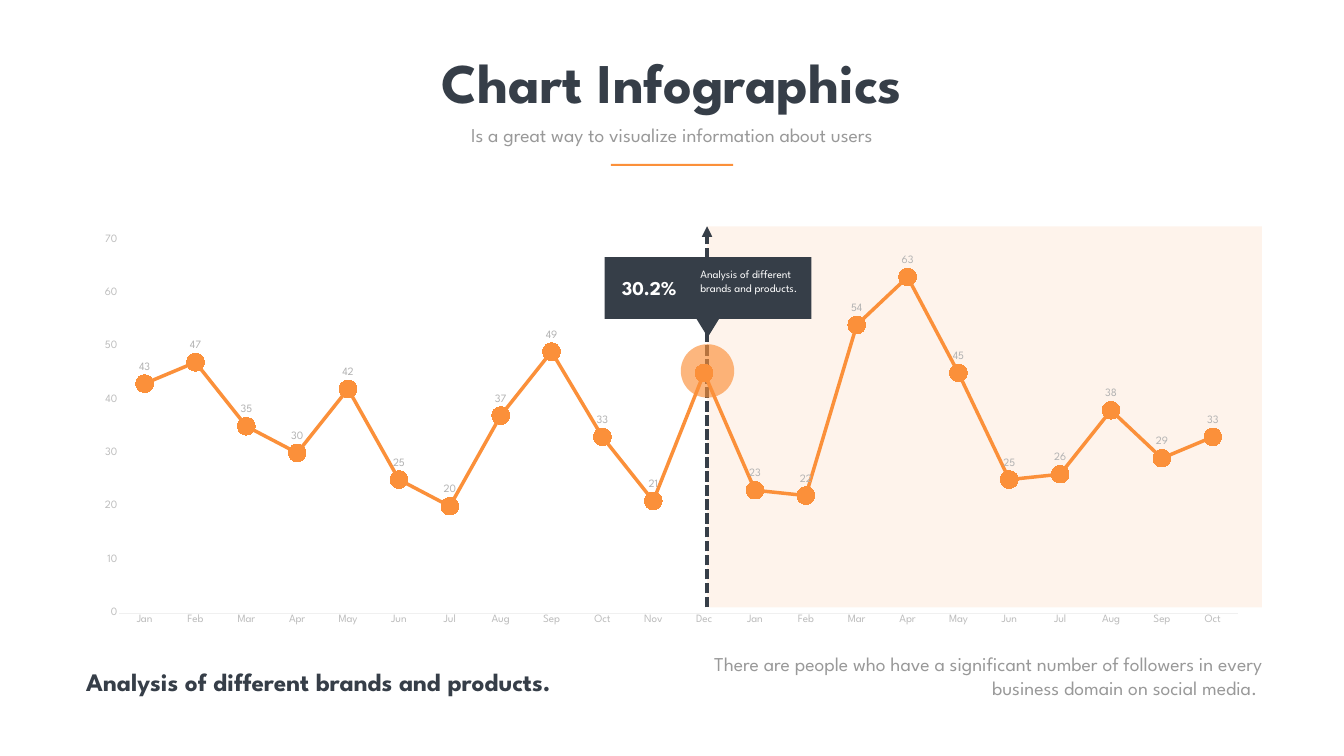
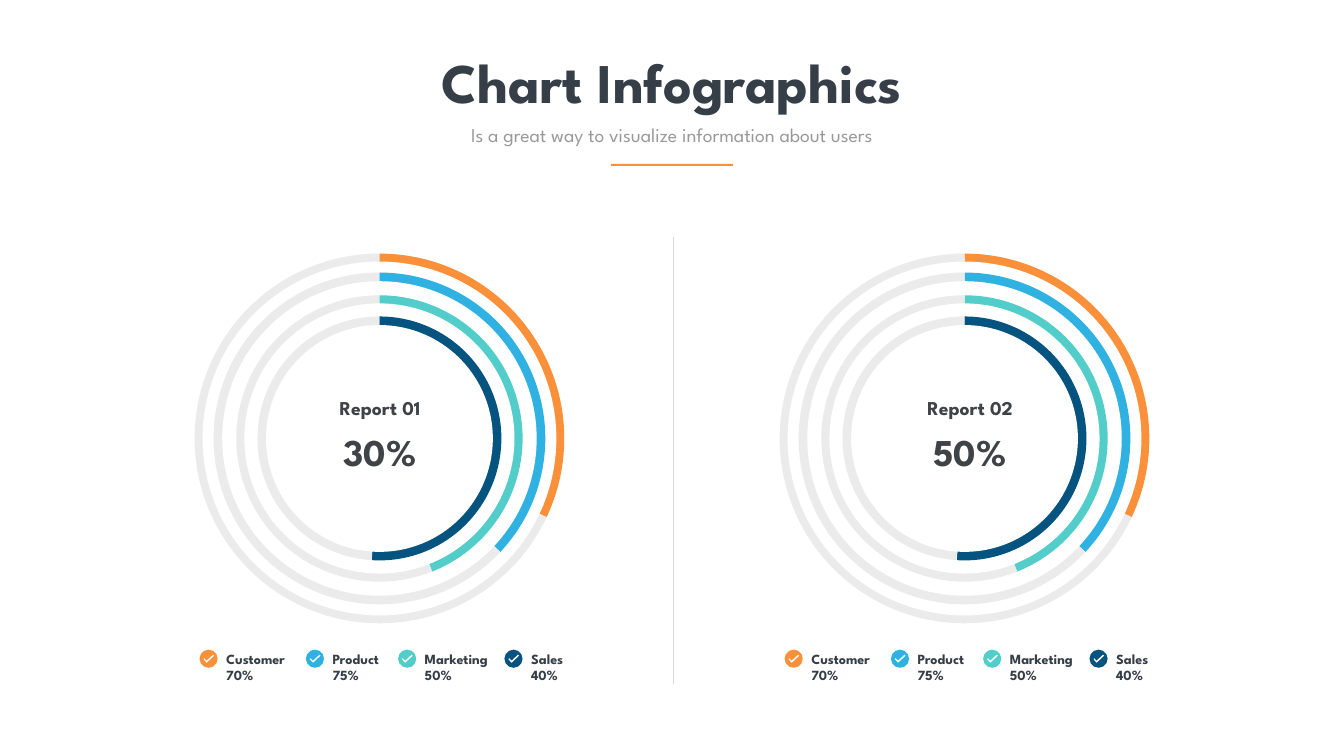
from lxml.etree import SubElement
from pptx import Presentation
from pptx.chart.data import CategoryChartData
from pptx.dml.color import RGBColor
from pptx.enum.chart import XL_CHART_TYPE, XL_LABEL_POSITION, XL_MARKER_STYLE, XL_TICK_MARK
from pptx.enum.dml import MSO_LINE
from pptx.enum.shapes import MSO_CONNECTOR, MSO_SHAPE
from pptx.enum.text import MSO_ANCHOR, MSO_AUTO_SIZE, PP_ALIGN
from pptx.oxml import parse_xml
from pptx.oxml.ns import nsdecls, qn
from pptx.util import Inches, Pt

WHITE = RGBColor(0xFF, 0xFF, 0xFF)
ORANGE = RGBColor(0xFB, 0x90, 0x3A)
BLUE = RGBColor(0x2F, 0xB2, 0xE1)
TEAL = RGBColor(0x53, 0xCD, 0xCA)
NAVY = RGBColor(0x05, 0x53, 0x7F)
PEACH = RGBColor(0xFE, 0xE9, 0xD8)
DARK = RGBColor(0x36, 0x3E, 0x48)
CHARCOAL = RGBColor(0x3F, 0x43, 0x47)
GRAY = RGBColor(0x99, 0x99, 0x99)
LABEL_GRAY = RGBColor(0xB2, 0xB2, 0xB2)
AXIS_GRAY = RGBColor(0xBD, 0xBD, 0xBD)
AXIS_LINE = RGBColor(0xF0, 0xF0, 0xF0)
TRACK_GRAY = RGBColor(0xEB, 0xEB, 0xEB)
DIVIDER_GRAY = RGBColor(0xD9, 0xD9, 0xD9)

FONT = "League Spartan"
STYLES = {
    "title": ({"size": Pt(80), "bold": True}, DARK),
    "subtitle": ({"size": Pt(28), "bold": False}, GRAY),
    "headline": ({"size": Pt(36), "bold": True}, DARK),
    "callout value": ({"size": Pt(28), "bold": True}, WHITE),
    "callout note": ({"size": Pt(16), "bold": False}, WHITE),
    "legend": ({"size": Pt(20), "bold": True}, DARK),
    "report name": ({"size": Pt(28), "bold": True}, CHARCOAL),
    "report value": ({"size": Pt(54), "bold": True}, CHARCOAL),
    "axis": ({"size": Pt(16), "bold": False}, AXIS_GRAY),
    "data label": ({"size": Pt(16), "bold": False}, LABEL_GRAY),
    "chart": ({"size": Pt(16), "bold": False}, GRAY),
}

MONTHS = ["Jan", "Feb", "Mar", "Apr", "May", "Jun", "Jul", "Aug", "Sep", "Oct", "Nov", "Dec"]
MONTHLY_VALUES = [43, 47, 35, 30, 42, 25, 20, 37, 49, 33, 21,
                  45, 23, 22, 54, 63, 45, 25, 26, 38, 29, 33]
HIGHLIGHTED_MONTH = 11

# Ring size, size of the disk covering its middle, share, colour
RINGS = [(7.41, 7.02, 32, ORANGE), (6.65, 6.24, 37, BLUE),
         (5.74, 5.36, 44, TEAL), (4.89, 4.5, 51, NAVY)]
# Offset, text width, label, value, colour
LEGEND = [(0, 2.35, "Customer", "70%", ORANGE), (2.11, 2.35, "Product", "75%", BLUE),
          (3.94, 2.48, "Marketing", "50%", TEAL), (6.05, 1.7, "Sales", "40%", NAVY)]
CHECK_POINTS = [(6, 12), (1, 7), (0, 9), (6, 16), (21, 2), (19, 0)]  # hundredths of an inch


def set_font(font, style):
    values, color = STYLES[style]
    for name, value in {"name": FONT, **values}.items():
        setattr(font, name, value)
    font.color.rgb = color


def fill_text(shape, lines, style, align=PP_ALIGN.LEFT, spacing=None, inset=None,
              anchor=MSO_ANCHOR.TOP):
    frame = shape.text_frame
    settings = {"text": "\n".join(lines), "word_wrap": True, "vertical_anchor": anchor,
                "auto_size": MSO_AUTO_SIZE.SHAPE_TO_FIT_TEXT}
    if inset is not None:
        for side in ("left", "top", "right", "bottom"):
            settings[f"margin_{side}"] = Inches(inset)
    for name, value in settings.items():
        setattr(frame, name, value)
    for paragraph in frame.paragraphs:
        paragraph.alignment = align
        paragraph.space_before = Pt(0)
        if spacing:
            paragraph.line_spacing = spacing
        for run in paragraph.runs:
            set_font(run.font, style)


def place(shape, box):
    for name, value in zip(("left", "top", "width", "height"), box):
        setattr(shape, name, Inches(value))


def add_text(slide, box, lines, style, **options):
    shape = slide.shapes.add_textbox(*map(Inches, box))
    fill_text(shape, lines, style, **options)


def paint(shape, color, opacity=None):
    shape.shadow.inherit = False
    shape.fill.solid()
    shape.fill.fore_color.rgb = color
    shape.line.fill.background()
    if opacity is not None:
        color_element = shape._element.spPr.find(qn("a:solidFill"))[0]
        SubElement(color_element, qn("a:alpha"), val=str(opacity * 1000))


def add_block(slide, kind, box, color, opacity=None, rotation=0):
    shape = slide.shapes.add_shape(kind, *map(Inches, box))
    shape.rotation = rotation
    paint(shape, color, opacity)


def add_line(slide, start, end, color, width, dash=None, arrow=False):
    connector = slide.shapes.add_connector(MSO_CONNECTOR.STRAIGHT, *map(Inches, start + end))
    line = connector.line
    line.color.rgb = color
    line.width = Pt(width)
    if dash:
        line.dash_style = dash
    properties = connector._element.spPr
    if arrow:
        SubElement(properties.find(qn("a:ln")), qn("a:tailEnd"), type="triangle")
    SubElement(properties, qn("a:effectLst"))


def add_chart(slide, kind, box, categories, values):
    data = CategoryChartData()
    data.categories = categories
    data.add_series("Series 1", values)
    chart = slide.shapes.add_chart(kind, *map(Inches, box), data).chart
    chart.has_legend = False
    chart.has_title = False
    return chart


def add_headed_slide(presentation):
    slide = presentation.slides.add_slide(presentation.slide_layouts[0])
    title, subtitle = slide.placeholders
    place(title, (6.88, 0.9, 12.91, 1.45))
    fill_text(title, ["Chart Infographics"], "title", align=PP_ALIGN.CENTER)
    place(subtitle, (8.55, 2.38, 9.56, 0.57))
    fill_text(subtitle, ["Is a great way to visualize information about users"],
              "subtitle", align=PP_ALIGN.CENTER)
    add_block(slide, MSO_SHAPE.RECTANGLE, (12.12, 3.25, 2.43, 0.04), ORANGE)
    return slide


def add_monthly_chart(slide, box):
    chart = add_chart(slide, XL_CHART_TYPE.LINE_MARKERS, box,
                      (MONTHS * 2)[:len(MONTHLY_VALUES)], MONTHLY_VALUES)
    set_font(chart.font, "chart")
    for axis in (chart.category_axis, chart.value_axis):
        axis.major_tick_mark = axis.minor_tick_mark = XL_TICK_MARK.NONE
        axis.has_major_gridlines = False
        set_font(axis.tick_labels.font, "axis")
    chart.category_axis.format.line.color.rgb = AXIS_LINE
    chart.category_axis.format.line.width = Pt(0.75)
    value_axis = chart.value_axis
    value_axis.format.line.fill.background()
    value_axis.minimum_scale, value_axis.maximum_scale, value_axis.major_unit = 0, 70, 10

    plot = chart.plots[0]
    plot.vary_by_categories = False
    series = plot.series[0]
    series.smooth = False
    marker = series.marker
    marker.style = XL_MARKER_STYLE.CIRCLE
    marker.size = 25
    marker.format.fill.solid()
    marker.format.fill.fore_color.rgb = WHITE
    for line in (series.format.line, marker.format.line):
        line.color.rgb = ORANGE
        line.width = Pt(5)
    labels = series.data_labels
    labels.show_value = True
    labels.position = XL_LABEL_POSITION.ABOVE
    set_font(labels.font, "data label")
    labels._element.insert(0, parse_xml(
        f'<c:dLbl {nsdecls("c")}><c:idx val="{HIGHLIGHTED_MONTH}"/>'
        '<c:delete val="1"/></c:dLbl>'))


def add_callout(slide, left, top):
    add_block(slide, MSO_SHAPE.RECTANGLE, (left, top, 4.1, 1.23), DARK)
    add_block(slide, MSO_SHAPE.ISOSCELES_TRIANGLE, (left + 1.7, top + 1.03, 0.69, 0.56),
              DARK, rotation=180)
    add_text(slide, (left + 0.24, top + 0.32, 1.8, 0.57), ["30.2%"], "callout value")
    add_text(slide, (left + 1.8, top + 0.16, 2.14, 0.91),
             ["Analysis of different brands and products."], "callout note")


def build_trend_slide(presentation):
    slide = add_headed_slide(presentation)
    top, middle = 4.49, 14.03
    add_block(slide, MSO_SHAPE.RECTANGLE, (middle, top, 11.01, 7.56), PEACH, opacity=50)
    add_line(slide, (middle, top + 7.56), (middle, top), DARK, 5,
             dash=MSO_LINE.SQUARE_DOT, arrow=True)
    add_block(slide, MSO_SHAPE.OVAL, (13.51, 6.83, 1.06, 1.06), ORANGE, opacity=65)
    add_monthly_chart(slide, (1.61, top, 23.43, 8.08))
    add_callout(slide, 12, 5.1)
    add_text(slide, (1.61, 13.18, 11.72, 0.71),
             ["Analysis of different brands and products."], "headline")
    add_text(slide, (13.47, 12.89, 11.67, 1.04),
             ["There are people who have a significant number of followers "
              "in every business domain on social media. "],
             "subtitle", align=PP_ALIGN.RIGHT)


def add_ring(slide, center, size, disk_size, share, color):
    """Add a doughnut and the white disk that narrows it to a thin ring."""
    def centered(extent):
        return (center[0] - extent / 2, center[1] - extent / 2, extent, extent)

    chart = add_chart(slide, XL_CHART_TYPE.DOUGHNUT, centered(size),
                      ["1", "2"], [share, 100 - share])
    chart.font.name = "Calibri"
    chart.font.size = Pt(10)
    chart.font.color.rgb = GRAY
    plot = chart.plots[0]
    plot._element.find(qn("c:holeSize")).set("val", "90")
    for index, point_color in enumerate((color, TRACK_GRAY)):
        fill = plot.series[0].points[index].format.fill
        fill.solid()
        fill.fore_color.rgb = point_color

    plot_area = plot._element.getparent()
    for layout in plot_area.findall(qn("c:layout")):
        plot_area.remove(layout)
    layout = SubElement(plot_area, qn("c:layout"))
    plot_area.insert(0, layout)
    manual = SubElement(layout, qn("c:manualLayout"))
    for tag, value in (("layoutTarget", "inner"), ("xMode", "edge"), ("yMode", "edge"),
                       ("x", "0.005"), ("y", "0.005"), ("w", "0.99"), ("h", "0.99")):
        SubElement(manual, qn(f"c:{tag}"), val=value)
    add_block(slide, MSO_SHAPE.OVAL, centered(disk_size), WHITE)


def add_legend(slide, left, top):
    for offset, width, label, value, color in LEGEND:
        x = left + offset
        add_block(slide, MSO_SHAPE.OVAL, (x, top, 0.36, 0.36), color)
        builder = slide.shapes.build_freeform(*CHECK_POINTS[0], scale=Inches(0.01))
        builder.add_line_segments(CHECK_POINTS[1:], close=True)
        paint(builder.convert_to_shape(Inches(x + 0.08), Inches(top + 0.1)), WHITE)
        add_text(slide, (x + 0.43, top - 0.04, width, 0.77), [label, value], "legend")


def add_report(slide, left, top, name, value, caption_offset):
    for ring in RINGS:
        add_ring(slide, (left + 3.71, top + 3.71), *ring)
    add_legend(slide, left + 0.14, top + 7.9)
    caption = {"align": PP_ALIGN.CENTER, "inset": 0.06, "anchor": MSO_ANCHOR.MIDDLE}
    x = left + caption_offset
    add_text(slide, (x, top + 2.94, 3.28, 0.45), [name], "report name", spacing=0.7, **caption)
    add_text(slide, (x, top + 3.46, 3.28, 1.02), [value], "report value", **caption)


def build_report_slide(presentation):
    slide = add_headed_slide(presentation)
    add_report(slide, 3.82, 4.99, "Report 01", "30%", caption_offset=2.08)
    add_report(slide, 15.43, 4.99, "Report 02", "50%", caption_offset=2.18)
    add_line(slide, (13.36, 4.71), (13.36, 13.57), DIVIDER_GRAY, 1)


def main():
    presentation = Presentation()
    presentation.slide_width = Inches(26.67)
    presentation.slide_height = Inches(15)
    build_trend_slide(presentation)
    build_report_slide(presentation)
    presentation.save("out.pptx")


if __name__ == "__main__":
    main()
